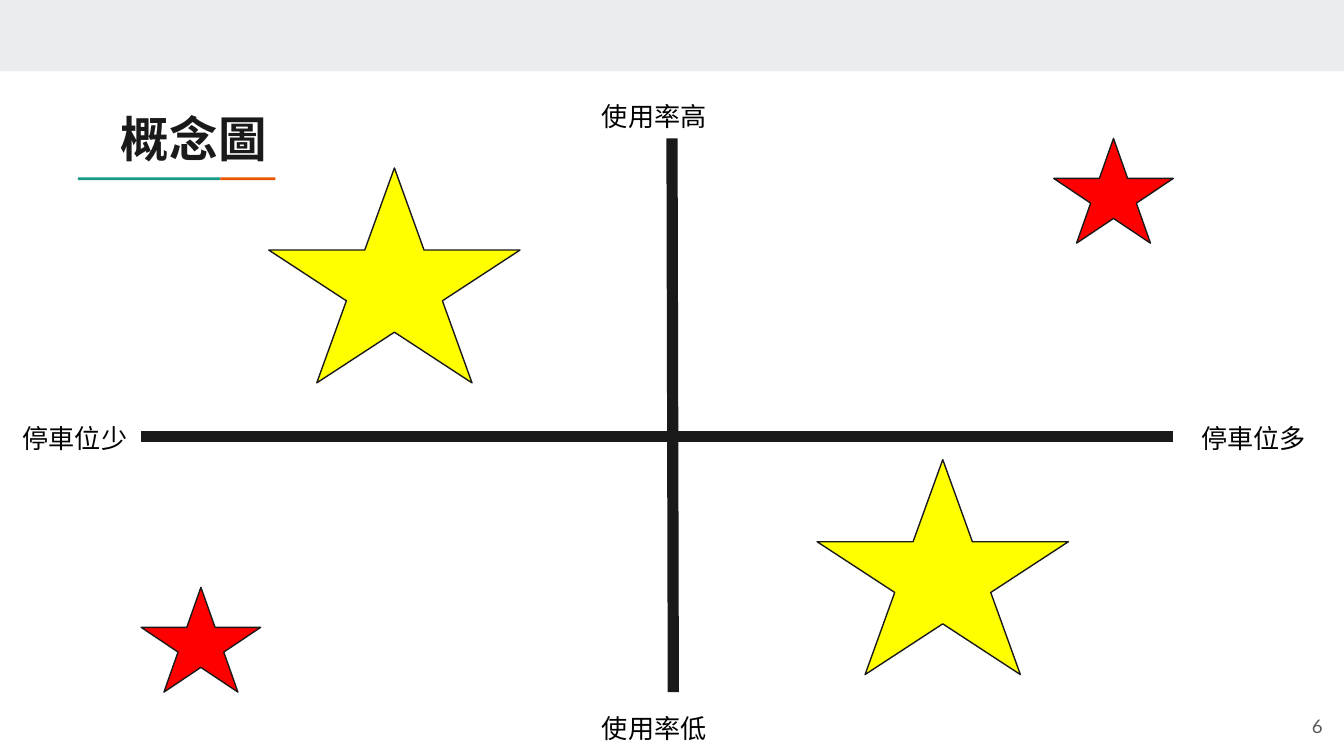
from pptx import Presentation
from pptx.dml.color import RGBColor
from pptx.enum.shapes import MSO_CONNECTOR, MSO_SHAPE
from pptx.enum.text import MSO_ANCHOR, MSO_AUTO_SIZE, PP_ALIGN
from pptx.oxml.ns import qn
from pptx.util import Inches, Pt

RECT = MSO_SHAPE.RECTANGLE
STAR = MSO_SHAPE.STAR_5_POINT
STRAIGHT = MSO_CONNECTOR.STRAIGHT
TOP, MIDDLE = MSO_ANCHOR.TOP, MSO_ANCHOR.MIDDLE
LEFT, RIGHT = PP_ALIGN.LEFT, PP_ALIGN.RIGHT
NO_FIT = MSO_AUTO_SIZE.NONE

BLACK = RGBColor(0x00, 0x00, 0x00)
INK = RGBColor(0x1A, 0x1A, 0x1A)
GRAY = RGBColor(0x59, 0x59, 0x59)
BAND = RGBColor(0xE9, 0xED, 0xEE)
TEAL = RGBColor(0x1A, 0x99, 0x88)
ORANGE = RGBColor(0xEB, 0x56, 0x00)
YELLOW = RGBColor(0xFF, 0xFF, 0x00)
RED = RGBColor(0xFF, 0x00, 0x00)

LARGE, SMALL = (1.87, 1.6), (0.89, 0.78)
LABEL_FONT = {"name": "Arial", "size": Pt(14)}
TITLE_FONT = {"name": "Manrope", "size": Pt(26), "bold": True}
NUMBER_FONT = {"name": "Lato", "size": Pt(10)}


def set_attrs(target, values):
    for name, value in values.items():
        setattr(target, name, value)


def write_text(sp, text, font, color, align=LEFT, anchor=TOP):
    tf = sp.text_frame
    margins = {f"margin_{side}": Inches(0.1) for side in ("left", "top", "right", "bottom")}
    set_attrs(tf, {"word_wrap": True, "auto_size": NO_FIT, "vertical_anchor": anchor, **margins})
    p = tf.paragraphs[0]
    p.alignment = align
    r = p.add_run()
    r.text = text
    set_attrs(r.font, font)
    r.font.color.rgb = color


def add_title(s, text, box):
    sp = s.shapes.title
    set_attrs(sp, dict(zip(("left", "top", "width", "height"), map(Inches, box))))
    write_text(sp, text, TITLE_FONT, INK)


def add_text(s, text, box, font, color, **layout):
    sp = s.shapes.add_textbox(*map(Inches, box))
    write_text(sp, text, font, color, **layout)


def add_shape(s, kind, box, fill, outlined=False):
    sp = s.shapes.add_shape(kind, *map(Inches, box))
    sp.shadow.inherit = False
    sp.fill.solid()
    sp.fill.fore_color.rgb = fill
    if outlined:
        sp.line.color.rgb = INK
        sp.line.width = Pt(0.75)
    else:
        sp.line.fill.background()


def add_axis(s, start, end):
    line = s.shapes.add_connector(STRAIGHT, *map(Inches, start + end))
    line.line.color.rgb = INK
    line.line.width = Pt(6)
    properties = line._element.spPr
    properties.append(properties.makeelement(qn("a:effectLst"), {}))


def main():
    prs = Presentation()
    prs.slide_width = Inches(10)
    prs.slide_height = prs.slide_width * 9 // 16
    s = prs.slides.add_slide(prs.slide_layouts[5])

    add_shape(s, RECT, (0, 0, 10, 0.53), BAND)
    add_shape(s, RECT, (0.58, 1.32, 1.06, 0.02), TEAL)
    add_shape(s, RECT, (1.64, 1.32, 0.41, 0.02), ORANGE)
    add_title(s, "概念圖", (0.8, 0.71, 8.41, 0.59))

    add_axis(s, (1.05, 3.25), (8.73, 3.25))
    add_axis(s, (5, 1.03), (5.01, 5.15))

    for text, box in (
        ("停車位多", (8.84, 3.04, 1.1, 0.51)),
        ("停車位少", (0.07, 3.04, 0.98, 0.32)),
        ("使用率高", (4.38, 0.65, 1.24, 0.32)),
        ("使用率低", (4.38, 5.2, 1.24, 0.32)),
    ):
        add_text(s, text, box, LABEL_FONT, BLACK)

    for corner, size, fill in (
        ((6.08, 3.42), LARGE, YELLOW),
        ((2, 1.25), LARGE, YELLOW),
        ((7.84, 1.03), SMALL, RED),
        ((1.05, 4.37), SMALL, RED),
    ):
        add_shape(s, STAR, corner + size, fill, outlined=True)

    add_text(s, "6", (9.34, 5.19, 0.6, 0.43), NUMBER_FONT, GRAY, align=RIGHT, anchor=MIDDLE)
    prs.save("out.pptx")


if __name__ == "__main__":
    main()
